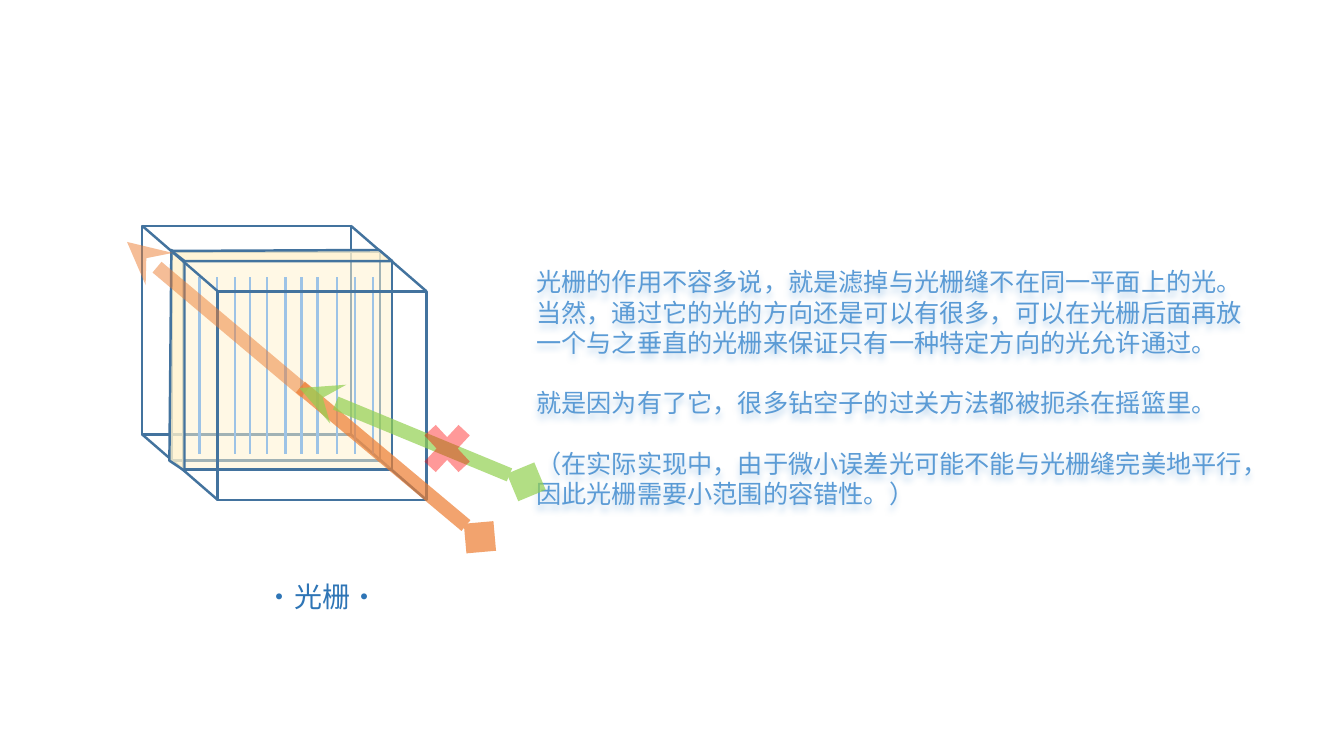
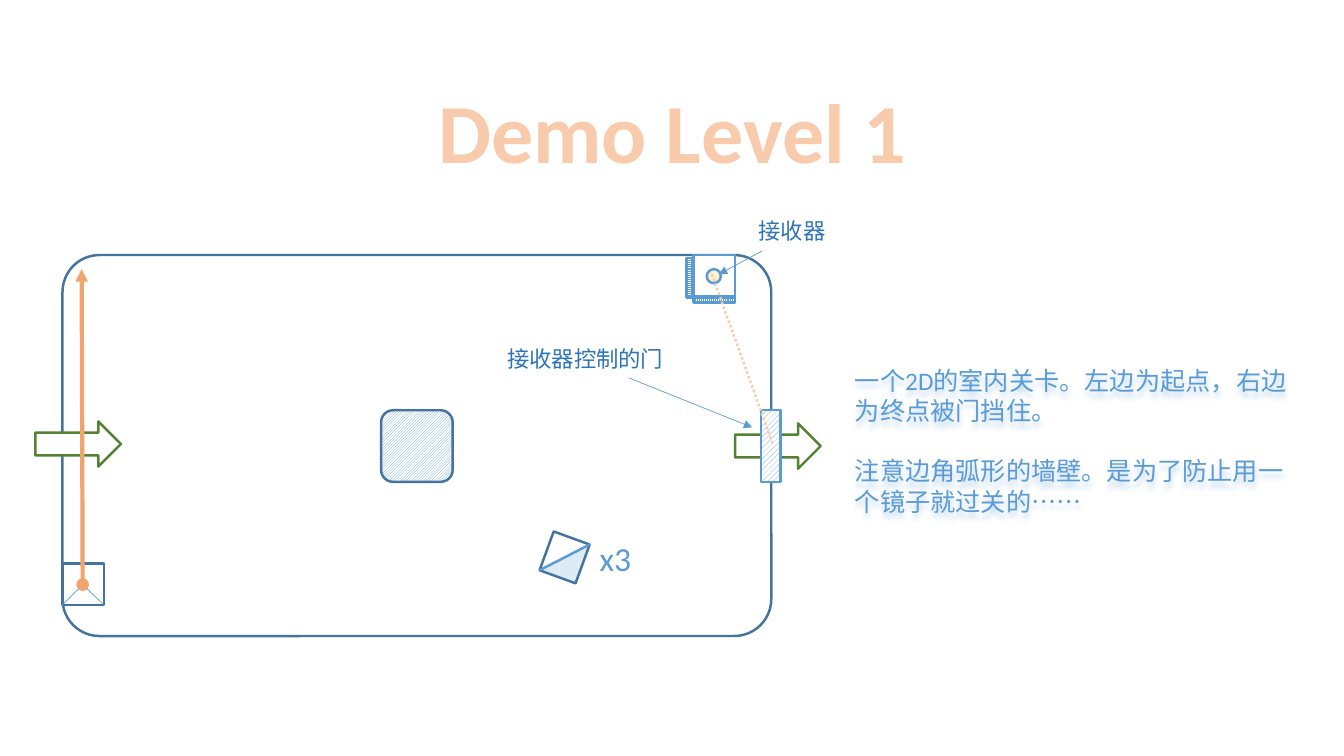
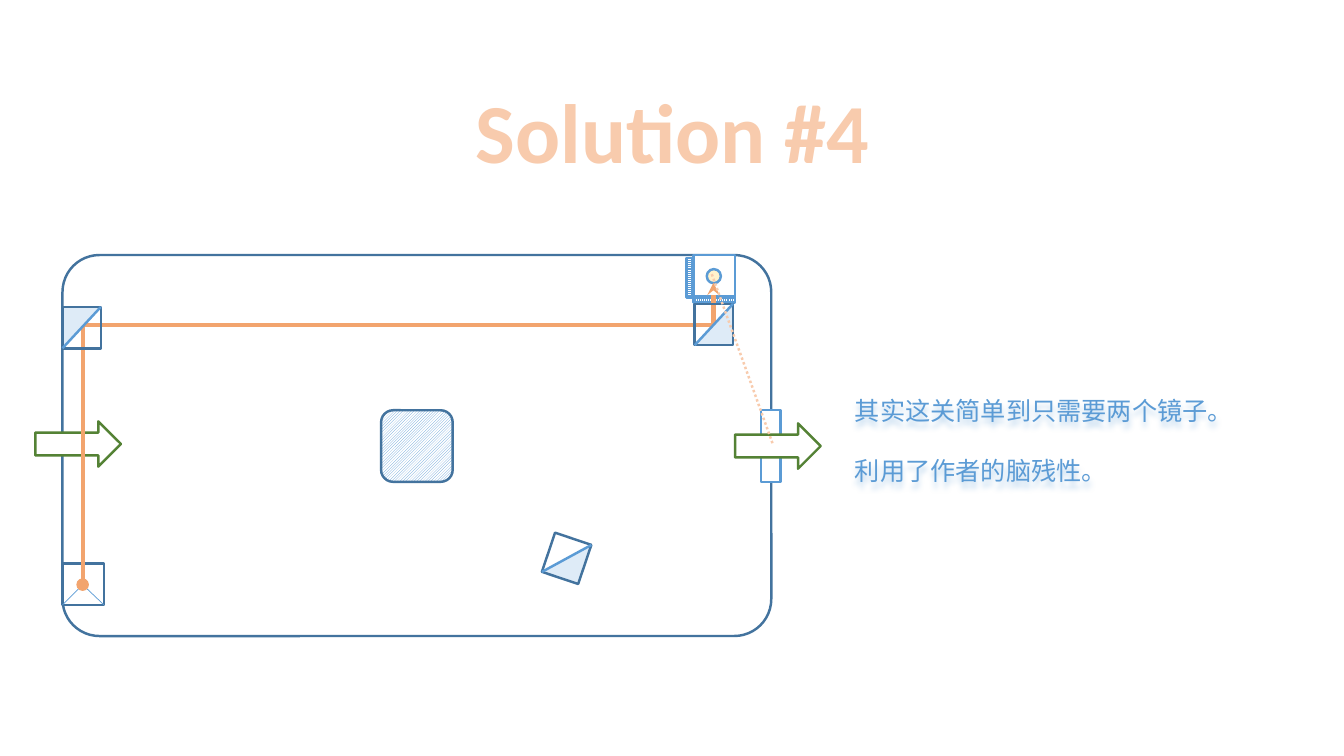
from math import cos, radians, sin

from lxml.etree import SubElement
from pptx import Presentation
from pptx.dml.color import RGBColor
from pptx.enum.dml import MSO_LINE, MSO_PATTERN as PATTERN
from pptx.enum.shapes import MSO_CONNECTOR as CONNECTOR, MSO_SHAPE as SHAPE
from pptx.enum.text import MSO_ANCHOR as ANCHOR, PP_ALIGN as ALIGN
from pptx.oxml.ns import qn
from pptx.util import Inches, Pt

NAVY = RGBColor(0x43, 0x73, 0x9E)
BLUE = RGBColor(0x5B, 0x9B, 0xD5)
LABEL_BLUE = RGBColor(0x2E, 0x75, 0xB6)
SLIT_BLUE = RGBColor(0x9D, 0xC3, 0xE6)
PALE_BLUE = RGBColor(0xDE, 0xEB, 0xF7)
CREAM = RGBColor(0xFF, 0xF2, 0xCC)
ORANGE = RGBColor(0xED, 0x7D, 0x31)
BEAM = RGBColor(0xF2, 0xA4, 0x6E)
PEACH = RGBColor(0xF8, 0xCB, 0xAD)
LIME = RGBColor(0x92, 0xD0, 0x50)
GREEN = RGBColor(0x54, 0x82, 0x35)
RED = RGBColor(0xFF, 0x00, 0x00)
WHITE = RGBColor(0xFF, 0xFF, 0xFF)
LATIN, CJK = "Calibri", "Noto Sans CJK SC"
SHADOW_HEX = "BDD7EE"

GRATING_TEXT = [
    "光栅的作用不容多说，就是滤掉与光栅缝不在同一平面上的光。当然，通过它的光的方向还是可以有很多，"
    "可以在光栅后面再放一个与之垂直的光栅来保证只有一种特定方向的光允许通过。",
    "就是因为有了它，很多钻空子的过关方法都被扼杀在摇篮里。",
    "（在实际实现中，由于微小误差光可能不能与光栅缝完美地平行，因此光栅需要小范围的容错性。）",
]
LEVEL_TEXT = [
    "一个2D的室内关卡。左边为起点，右边为终点被门挡住。",
    "注意边角弧形的墙壁。是为了防止用一个镜子就过关的……",
]
SOLUTION_TEXT = ["其实这关简单到只需要两个镜子。", "利用了作者的脑残性。"]

CUBE = 2.07
BACK, FRONT = (1.41, 2.24), (2.16, 2.89)
SLITS = [1.98, 2.15, 2.33, 2.48, 2.65, 2.83, 2.99, 3.15, 3.34, 3.52, 3.7]
GRATING_SIDES = [
    [(1.7, 2.48), (1.83, 2.59), (1.83, 4.67), (1.68, 4.57)],
    [(3.76, 2.48), (3.89, 2.59), (1.83, 2.59), (1.7, 2.49)],
]
# from, to, colour, opacity, arrowhead at the start, arrowhead at the end
RAYS = [
    ((2.98, 3.84), (4.76, 5.33), ORANGE, 70, None, "diamond"),
    ((1.26, 2.4), (3.03, 3.89), ORANGE, 50, "stealth", None),
    ((2.97, 3.85), (5.22, 4.78), LIME, 70, "stealth", "diamond"),
]
# text, box, pointer from, pointer to
LABELS = [
    ("接收器", (7.26, 2.11, 1.19, 0.37), (7.56, 2.49), (7.13, 2.72)),
    ("接收器控制的门", (4.69, 3.38, 2.23, 0.37), (6.24, 3.75), (7.46, 4.24)),
]
MIRROR_W, MIRROR_H = 0.38, 0.41
# centre x, centre y, turn in degrees
SOLUTION_MIRRORS = [(5.62, 5.54, 18.6), (7.08, 3.22, 0), (0.81, 3.25, 180)]


def set_alpha(sp_pr, percent):
    color = sp_pr.find(".//" + qn("a:srgbClr"))
    SubElement(color, qn("a:alpha"), val=str(percent * 1000))


def paint(sp, fill=None, line=None, alpha=None, pattern=None):
    sp.shadow.inherit = False
    if pattern is not None:
        sp.fill.patterned()
        sp.fill.pattern = pattern
        sp.fill.fore_color.rgb, sp.fill.back_color.rgb = BLUE, WHITE
    elif fill is not None:
        sp.fill.solid()
        sp.fill.fore_color.rgb = fill
        if alpha:
            set_alpha(sp._element.spPr, alpha)
    else:
        sp.fill.background()
    if line is None:
        sp.line.fill.background()
    else:
        sp.line.color.rgb = line
        sp.line.width = Pt(1.75)
    return sp


def add_shape(s, kind, box, fill=None, line=NAVY, **style):
    sp = s.shapes.add_shape(kind, *map(Inches, box))
    return paint(sp, fill, line, **style)


def add_polygon(s, points, fill, line=None, alpha=None):
    corners = [(Inches(x), Inches(y)) for x, y in points]
    outline = s.shapes.build_freeform(*corners[0])
    outline.add_line_segments(corners[1:], close=True)
    return paint(outline.convert_to_shape(), fill, line, alpha)


def add_line(s, start, end, color=NAVY, width=1.75, head=None, tail=None,
             alpha=None, dash=None, kind=CONNECTOR.STRAIGHT):
    c = s.shapes.add_connector(kind, *map(Inches, (*start, *end)))
    c.line.color.rgb = color
    c.line.width = Pt(width)
    if dash is not None:
        c.line.dash_style = dash
    sp_pr = c._element.spPr
    if alpha:
        set_alpha(sp_pr, alpha)
    for tag, arrow in (("a:headEnd", head), ("a:tailEnd", tail)):
        if arrow:
            SubElement(sp_pr.find(qn("a:ln")), qn(tag), type=arrow)
    SubElement(sp_pr, qn("a:effectLst"))
    return c


def write(sp, paragraphs, size, color, align=ALIGN.LEFT, anchor=ANCHOR.TOP,
          font=LATIN, bold=False):
    tf = sp.text_frame
    tf.word_wrap = True
    tf.vertical_anchor = anchor
    tf.text = "\n".join(paragraphs)
    for i, p in enumerate(tf.paragraphs):
        p.alignment = align
        if i:
            p.space_before = Pt(size * 1.2)
        for r in p.runs:
            r.font.name, r.font.size, r.font.bold = font, Pt(size), bold
            r.font.color.rgb = color
            r_pr = r._r.get_or_add_rPr()
            r_pr.set("lang", "zh-CN")
            r_pr.find(qn("a:latin")).addnext(
                r_pr.makeelement(qn("a:ea"), {"typeface": CJK}))
    return tf


def add_text(s, box, text, size, color, **style):
    return write(s.shapes.add_textbox(*map(Inches, box)), [text], size, color, **style)


def add_title(s, text):
    tf = add_text(s, (0.92, 0.4, 11.5, 1.45), text, 60, PEACH,
                  align=ALIGN.CENTER, anchor=ANCHOR.BOTTOM, bold=True)
    tf.paragraphs[0].line_spacing = 0.9


def add_label(s, box, text, size):
    add_text(s, box, text, size, LABEL_BLUE, align=ALIGN.CENTER, font=CJK)


def add_commentary(s, paragraphs, box=(8.38, 1.85, 4.69, 5.04)):
    """Unfilled panel whose soft shadow falls from the text."""
    sp = add_shape(s, SHAPE.RECTANGLE, box, line=None)
    effects = sp._element.spPr.find(qn("a:effectLst"))
    shadow = SubElement(effects, qn("a:outerShdw"), blurRad=str(Pt(4)),
                        dist=str(Pt(4)), dir="5400000", algn="t", rotWithShape="0")
    SubElement(shadow, qn("a:srgbClr"), val=SHADOW_HEX)
    write(sp, paragraphs, 18, BLUE, anchor=ANCHOR.MIDDLE)


def add_mirror(s, cx, cy, turn):
    """Square split by a diagonal, with its lower right half tinted, then turned."""
    w, h, a = MIRROR_W / 2, MIRROR_H / 2, radians(turn)
    corners = [(cx + x * cos(a) - y * sin(a), cy + x * sin(a) + y * cos(a))
               for x, y in ((w, -h), (w, h), (-w, h))]
    add_polygon(s, corners, PALE_BLUE)
    frame = add_shape(s, SHAPE.RECTANGLE, (cx - w, cy - h, MIRROR_W, MIRROR_H))
    frame.rotation = turn
    add_line(s, corners[0], corners[2], BLUE)


def add_arrow(s, x, y):
    add_shape(s, SHAPE.RIGHT_ARROW, (x, y, 0.85, 0.45), WHITE, GREEN)


def add_exit(s):
    add_arrow(s, 7.29, 4.2)


def add_door(s, pattern=None):
    add_shape(s, SHAPE.RECTANGLE, (7.55, 4.07, 0.19, 0.71), WHITE, BLUE, pattern=pattern)


def add_control_link(s):
    add_line(s, (7.06, 2.72), (7.67, 4.42), PEACH, dash=MSO_LINE.ROUND_DOT)


def add_room(s):
    """Walls, pillar, light source, receiver and entrance."""
    walls = add_shape(s, SHAPE.ROUNDED_RECTANGLE, (0.62, 2.53, 7.03, 3.78))
    walls.adjustments[0] = 0.097
    add_shape(s, SHAPE.ROUNDED_RECTANGLE, (3.78, 4.07, 0.71, 0.71),
              pattern=PATTERN.LIGHT_UPWARD_DIAGONAL)
    add_shape(s, SHAPE.RECTANGLE, (0.62, 5.59, 0.41, 0.41), WHITE)
    for x in (0.62, 1.03):
        add_line(s, (0.82, 5.8), (x, 6), BLUE, 0.5)
    add_shape(s, SHAPE.RECTANGLE, (6.88, 2.53, 0.41, 0.41), WHITE, BLUE)
    add_shape(s, SHAPE.OVAL, (7.01, 2.67, 0.14, 0.14), CREAM, BLUE)
    add_shape(s, SHAPE.RECTANGLE, (6.81, 2.56, 0.06, 0.39), line=BLUE,
              pattern=PATTERN.LIGHT_HORIZONTAL)
    add_shape(s, SHAPE.RECTANGLE, (6.88, 2.95, 0.41, 0.05), line=BLUE,
              pattern=PATTERN.LIGHT_VERTICAL)
    add_arrow(s, 0.35, 4.18)


def add_bent_beam(s):
    """Beam going up, right and up again: an elbow turned by a quarter."""
    x, y, w, h = 2.56, 1.07, 2.78, 6.25
    c = add_line(s, (x + w, y + h), (x, y), BEAM, 3, tail="stealth", kind=CONNECTOR.ELBOW)
    sp_pr = c._element.spPr
    sp_pr.find(qn("a:xfrm")).set("rot", "5400000")
    adjusts = sp_pr.find(qn("a:prstGeom")).find(qn("a:avLst"))
    if adjusts is None:
        adjusts = SubElement(sp_pr.find(qn("a:prstGeom")), qn("a:avLst"))
    SubElement(adjusts, qn("a:gd"), name="adj1", fmla="val 84900")


def build_grating(s):
    def add_face(x, y, **style):
        add_shape(s, SHAPE.RECTANGLE, (x, y, CUBE, CUBE), **style)

    add_face(*BACK)
    for dx, dy in ((CUBE, 0), (CUBE, CUBE), (0, CUBE)):
        add_line(s, (BACK[0] + dx, BACK[1] + dy), (FRONT[0] + dx, FRONT[1] + dy))
    add_commentary(s, GRATING_TEXT, (5.22, 0.94, 7.41, 5.81))
    add_label(s, (2.16, 5.7, 2.07, 0.44), "·光栅·", 20)
    add_face(1.7, 2.5)
    add_face(1.82, 2.59, fill=CREAM, alpha=50)
    for x in SLITS:
        add_line(s, (x, 2.75), (x, 4.5), SLIT_BLUE)
    for side in GRATING_SIDES:
        add_polygon(s, side, CREAM, NAVY, 80)
    add_face(*FRONT)
    add_line(s, BACK, FRONT)
    for start, end, color, alpha, head, tail in RAYS:
        add_line(s, start, end, color, 10, head, tail, alpha)
    add_shape(s, SHAPE.MATH_MULTIPLY, (4.11, 4.1, 0.65, 0.7), RED, None, alpha=40)


def build_level(s):
    add_room(s)
    add_text(s, (5.85, 5.29, 1.44, 0.5), "x3", 24, BLUE)
    add_line(s, (0.82, 5.8), (0.81, 2.67), BEAM, 3, "oval", "triangle")
    add_exit(s)
    add_door(s, PATTERN.WIDE_UPWARD_DIAGONAL)
    add_control_link(s)
    add_title(s, "Demo Level 1")
    add_commentary(s, LEVEL_TEXT)
    add_mirror(s, 5.6, 5.53, 20)
    for text, box, start, end in LABELS:
        add_label(s, box, text, 16)
        add_line(s, start, end, BLUE, 0.5, tail="triangle")


def build_solution(s):
    add_room(s)
    add_door(s)
    add_title(s, "Solution #4")
    add_commentary(s, SOLUTION_TEXT)
    add_bent_beam(s)
    add_line(s, (0.82, 5.8), (0.82, 5.59), BEAM, 3, "oval")
    for mirror in SOLUTION_MIRRORS:
        add_mirror(s, *mirror)
    add_exit(s)
    add_control_link(s)


def main():
    prs = Presentation()
    prs.slide_width, prs.slide_height = Inches(13.33), Inches(7.5)
    for build in (build_grating, build_level, build_solution):
        build(prs.slides.add_slide(prs.slide_layouts[6]))
    prs.save("out.pptx")


if __name__ == "__main__":
    main()
